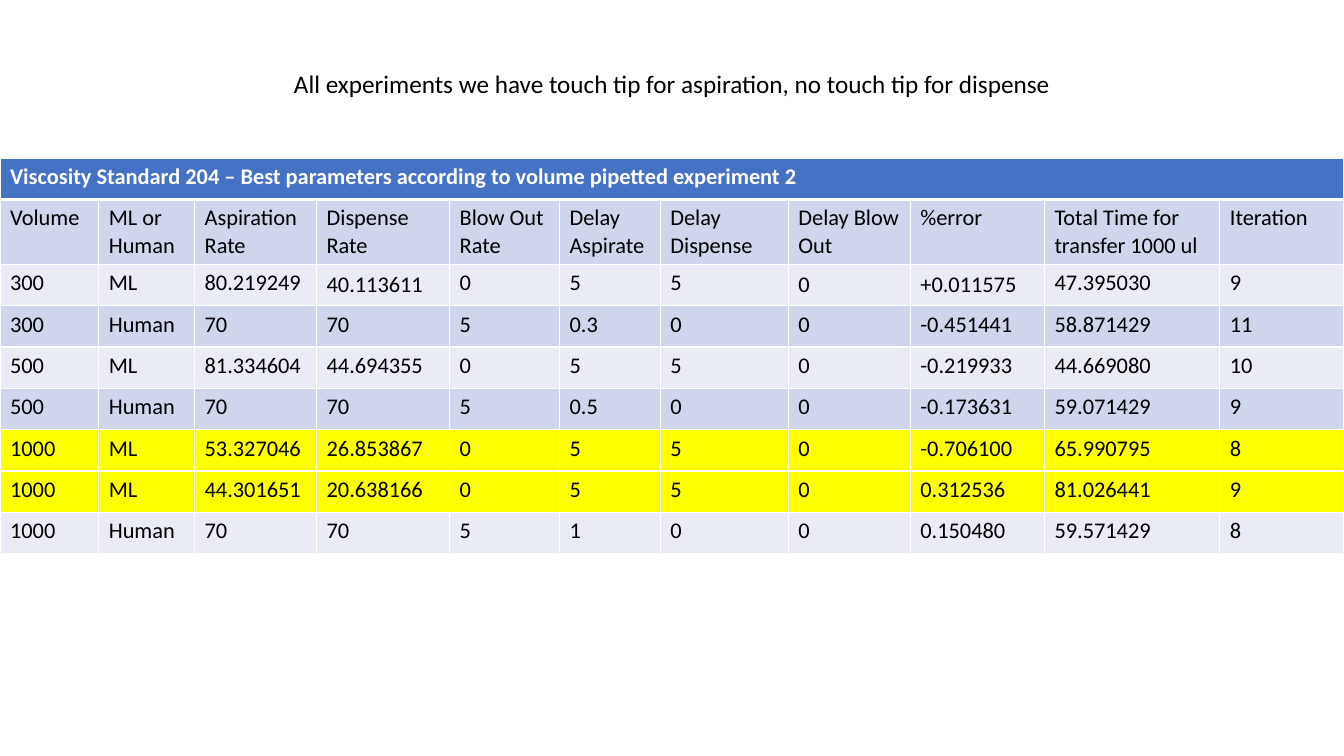
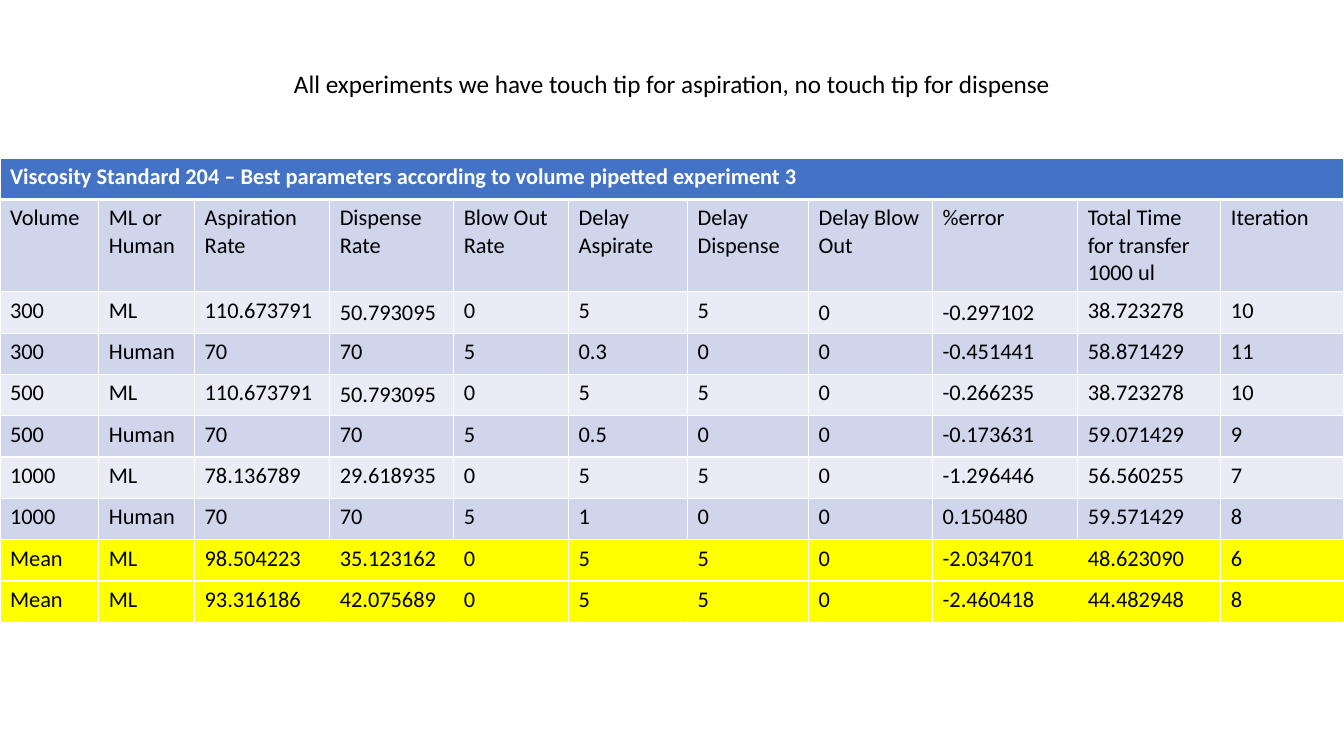
from dataclasses import dataclass

from lxml import etree
from pptx import Presentation
from pptx.dml.color import RGBColor
from pptx.enum.text import MSO_ANCHOR, MSO_AUTO_SIZE, PP_ALIGN
from pptx.oxml.ns import qn
from pptx.util import Inches, Pt

MIDDLE, TOP = MSO_ANCHOR.MIDDLE, MSO_ANCHOR.TOP
CENTER = PP_ALIGN.CENTER
NO_FIT = MSO_AUTO_SIZE.NONE
TITLE_ONLY = 5


@dataclass(frozen=True)
class Theme:
    font: str = "Calibri"
    title_size: int = 18
    table_size: int = 16
    text: str = "000000"
    white: str = "FFFFFF"
    header: str = "4472C4"
    bands: tuple = ("E9EBF5", "CFD5EA")
    highlight: str = "FFFF00"
    line: int = 1
    header_line: int = 3


THEME = Theme()
SLIDE_W, SLIDE_H = 13.33, 7.5
TABLE_TOP, ROW_H = 1.57, 0.41
TITLE_BOX = {"left": 1.95, "top": 0.63, "width": 9.43, "height": 0.4}

TITLE = "All experiments we have touch tip for aspiration, no touch tip for dispense"
CAPTION = "Viscosity Standard 204 – Best parameters according to volume pipetted experiment {}"
HEADINGS = ("Volume", "ML or Human", "Aspiration Rate", "Dispense Rate",
            "Blow Out Rate", "Delay Aspirate", "Delay Dispense",
            "Delay Blow Out", "%error", "Total Time for transfer 1000 ul",
            "Iteration")


def human(volume, delay, error, time, iteration):
    return (volume, "Human", "70", "70", "5", delay, "0", "0", error, time, iteration)


def ml(volume, aspiration, dispense, error, time, iteration):
    return (volume, "ML", aspiration, dispense, "0", "5", "5", "0", error, time, iteration)


HUMAN_300 = human("300", "0.3", "-0.451441", "58.871429", "11")
HUMAN_500 = human("500", "0.5", "-0.173631", "59.071429", "9")
HUMAN_1000 = human("1000", "1", "0.150480", "59.571429", "8")

EXPERIMENTS = [
    {
        "number": 2,
        "widths": (0.98, 0.95, 1.21, 1.32, 1.09, 1, 1.27, 1.21, 1.33, 1.74),
        "rows": [
            ml("300", "80.219249", "40.113611", "+0.011575", "47.395030", "9"),
            HUMAN_300,
            ml("500", "81.334604", "44.694355", "-0.219933", "44.669080", "10"),
            HUMAN_500,
            ml("1000", "53.327046", "26.853867", "-0.706100", "65.990795", "8"),
            ml("1000", "44.301651", "20.638166", "0.312536", "81.026441", "9"),
            HUMAN_1000,
        ],
        "highlighted": {6, 7},
        "centred": {(2, 3), (2, 7), (2, 8)},
    },
    {
        "number": 3,
        "widths": (0.98, 0.95, 1.34, 1.23, 1.14, 1.18, 1.2, 1.23, 1.44, 1.42),
        "rows": [
            ml("300", "110.673791", "50.793095", "-0.297102", "38.723278", "10"),
            HUMAN_300,
            ml("500", "110.673791", "50.793095", "-0.266235", "38.723278", "10"),
            HUMAN_500,
            ml("1000", "78.136789", "29.618935", "-1.296446", "56.560255", "7"),
            HUMAN_1000,
            ml("Mean", "98.504223", "35.123162", "-2.034701", "48.623090", "6"),
            ml("Mean", "93.316186", "42.075689", "-2.460418", "44.482948", "8"),
        ],
        "highlighted": {8, 9},
        "centred": {(2, 3), (2, 7), (2, 8), (4, 3)},
    },
]


def write(tf, text, size, color, bold=False):
    p = tf.paragraphs[0]
    r = p.add_run()
    r.text = text
    for name, value in {"name": THEME.font, "size": Pt(size), "bold": bold}.items():
        setattr(r.font, name, value)
    r.font.color.rgb = RGBColor.from_string(color)
    return p


def set_borders(cell, widths):
    pr = cell._tc.get_or_add_tcPr()
    for i, (side, width) in enumerate(widths.items()):
        ln = etree.Element(qn(f"a:ln{side}"), w=str(Pt(width)))
        fill = etree.SubElement(ln, qn("a:solidFill"))
        etree.SubElement(fill, qn("a:srgbClr"), val=THEME.white)
        pr.insert(i, ln)


def add_title(slide):
    sp = slide.shapes.title
    for name, value in TITLE_BOX.items():
        setattr(sp, name, Inches(value))
    tf = sp.text_frame
    for name, value in {"word_wrap": True, "auto_size": NO_FIT,
                        "vertical_anchor": TOP}.items():
        setattr(tf, name, value)
    write(tf, TITLE, THEME.title_size, THEME.text).alignment = CENTER


def row_fill(row, highlighted):
    if row == 0:
        return THEME.header
    return THEME.highlight if row in highlighted else THEME.bands[row % 2]


def add_results(slide, experiment):
    caption = (CAPTION.format(experiment["number"]),) + ("",) * (len(HEADINGS) - 1)
    rows = [caption, HEADINGS, *experiment["rows"]]
    table = slide.shapes.add_table(
        len(rows), len(HEADINGS), 0, Inches(TABLE_TOP),
        Inches(SLIDE_W), Inches(ROW_H * len(rows))).table
    widths = experiment["widths"]
    for column, width in zip(table.columns, (*widths, SLIDE_W - sum(widths))):
        column.width = Inches(width)
    table.cell(0, 0).merge(table.cell(0, len(HEADINGS) - 1))
    for r, values in enumerate(rows):
        table.rows[r].height = Inches(ROW_H)
        borders = {"L": THEME.line, "R": THEME.line,
                   "T": THEME.header_line if r == 1 else THEME.line,
                   "B": THEME.header_line if r == 0 else THEME.line}
        for c, value in enumerate(values):
            cell = table.cell(r, c)
            cell.fill.solid()
            cell.fill.fore_color.rgb = RGBColor.from_string(
                row_fill(r, experiment["highlighted"]))
            set_borders(cell, borders)
            if (r, c) in experiment["centred"]:
                cell.vertical_anchor = MIDDLE
            if value:
                write(cell.text_frame, value, THEME.table_size,
                      THEME.text if r else THEME.white, bold=r == 0)


def main():
    prs = Presentation()
    prs.slide_width, prs.slide_height = Inches(SLIDE_W), Inches(SLIDE_H)
    for experiment in EXPERIMENTS:
        slide = prs.slides.add_slide(prs.slide_layouts[TITLE_ONLY])
        add_title(slide)
        add_results(slide, experiment)
    prs.save("out.pptx")


if __name__ == "__main__":
    main()
